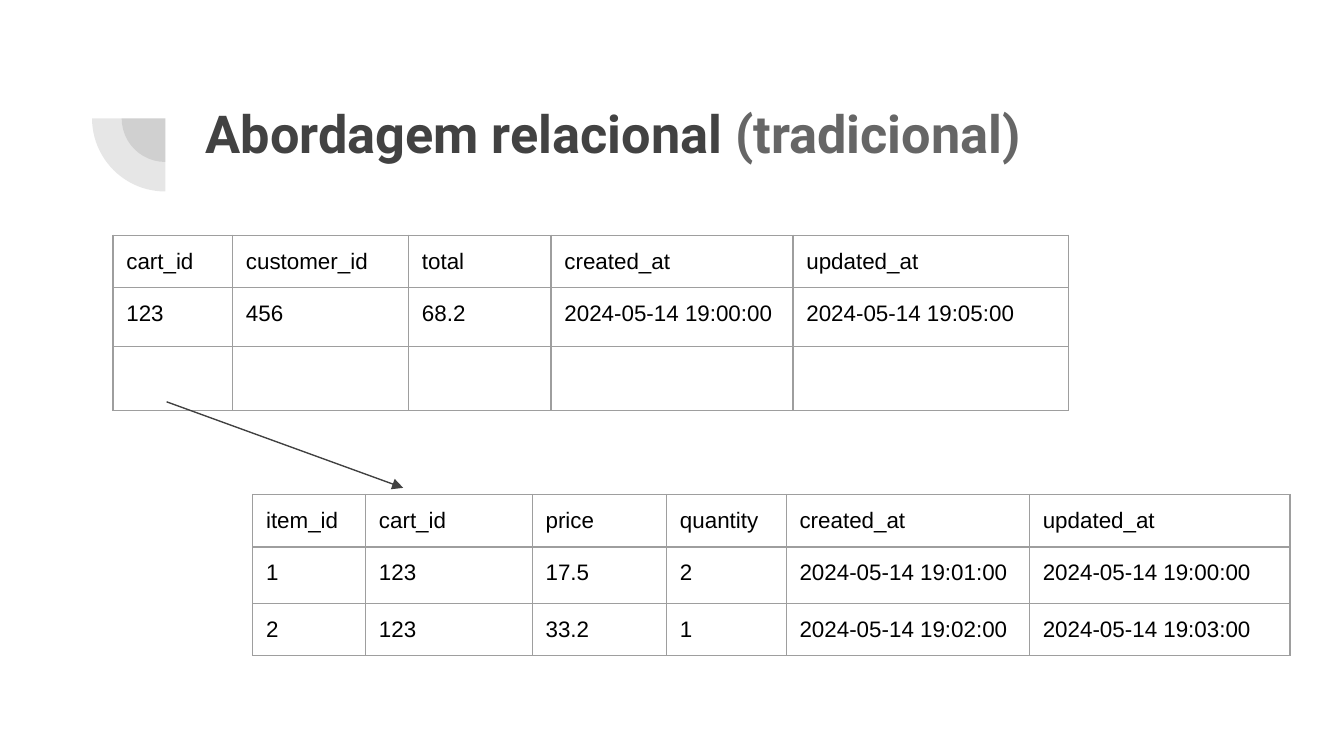
from dataclasses import dataclass

from lxml import etree
from pptx import Presentation
from pptx import util as u
from pptx.dml.color import RGBColor
from pptx.enum import shapes, text
from pptx.oxml import ns

In = u.Inches


@dataclass(frozen=True)
class Theme:
    dark: str = "424242"
    muted: str = "666666"
    border: str = "9E9E9E"
    black: str = "000000"
    title_font: str = "Roboto"
    body_font: str = "Arial"
    title_size: int = 28
    body_size: int = 12
    line_width: float = 0.75
    pie_alpha: int = 13


T = Theme()
INSETS = {f"margin_{side}": In(0.1) for side in ("left", "top", "right", "bottom")}


def apply(obj, values):
    for name, value in values.items():
        setattr(obj, name, value)


def sub(parent, tag, **attrs):
    return etree.SubElement(parent, ns.qn(tag), attrs)


def add_run(p, words, color, **font):
    r = p.add_run()
    r.text = words
    apply(r.font, font)
    r.font.color.rgb = RGBColor.from_string(color)


def add_ornament(s, cx, cy, diameters):
    """Overlapping translucent quarter circles that share one centre."""
    for d in diameters:
        sp = s.shapes.add_shape(shapes.MSO_SHAPE.PIE, In(cx - d / 2), In(cy - d / 2), In(d), In(d))
        sp.adjustments[0], sp.adjustments[1] = 108, 162  # 180 to 270 degrees
        sp.rotation = 270
        sp.shadow.inherit = False
        sp.line.fill.background()
        sp.fill.solid()
        sp.fill.fore_color.rgb = RGBColor.from_string(T.dark)
        color = sp.fill._xPr.find(".//" + ns.qn("a:srgbClr"))
        sub(color, "a:alpha", val=str(T.pie_alpha * 1000))


def add_title(s, x, y, w, h, parts):
    sp = s.shapes.title
    apply(sp, {"left": In(x), "top": In(y), "width": In(w), "height": In(h)})
    tf = sp.text_frame
    apply(tf, {**INSETS, "word_wrap": True, "auto_size": text.MSO_AUTO_SIZE.NONE,
               "vertical_anchor": text.MSO_ANCHOR.TOP})
    p = tf.paragraphs[0]
    p.alignment = text.PP_ALIGN.LEFT
    for words, color in parts:
        add_run(p, words, color, name=T.title_font, size=u.Pt(T.title_size), bold=True)


def format_cell(cell, words):
    apply(cell, INSETS)
    # Borders come before the fill in the cell properties
    props = cell._tc.get_or_add_tcPr()
    for side in ("L", "R", "T", "B"):
        ln = sub(props, f"a:ln{side}", w=str(u.Pt(T.line_width)))
        sub(sub(ln, "a:solidFill"), "a:srgbClr", val=T.border)
    cell.fill.background()
    p = cell.text_frame.paragraphs[0]
    if words:
        add_run(p, words, T.black, name=T.body_font, size=u.Pt(T.body_size))
    else:
        sub(sub(p._p, "a:endParaRPr"), "a:latin", typeface=T.body_font)


def add_data_table(s, x, y, widths, heights, rows):
    frame = s.shapes.add_table(len(heights), len(widths), In(x), In(y),
                               In(sum(widths)), In(sum(heights)))
    table = frame.table
    apply(table, {"first_row": False, "horz_banding": False})
    for column, width in zip(table.columns, widths):
        column.width = In(width)
    for row, height, values in zip(table.rows, heights, rows):
        row.height = In(height)
        for cell, words in zip(row.cells, values):
            format_cell(cell, words)


def add_arrow(s, x1, y1, x2, y2):
    c = s.shapes.add_connector(shapes.MSO_CONNECTOR.STRAIGHT, In(x1), In(y1), In(x2), In(y2))
    c.line.width = u.Pt(T.line_width)
    c.line.color.rgb = RGBColor.from_string(T.dark)
    sub(c.line._get_or_add_ln(), "a:tailEnd", type="triangle", w="med", len="med")
    sub(c._element.spPr, "a:effectLst")


def build_slide(prs):
    s = prs.slides.add_slide(prs.slide_layouts[5])
    add_ornament(s, 1.23, 0.88, (0.65, 1.09))
    add_title(s, 1.43, 0.65, 7.69, 1.09,
              [("Abordagem relacional ", T.dark), ("(tradicional)", T.muted)])

    # Carts
    add_data_table(s, 0.84, 1.75, (0.89, 1.31, 1.06, 1.8, 2.05), (0.38, 0.44, 0.48), [
        ("cart_id", "customer_id", "total", "created_at", "updated_at"),
        ("123", "456", "68.2", "2024-05-14 19:00:00", "2024-05-14 19:05:00"),
        ("",) * 5,
    ])

    # Items that belong to a cart
    add_data_table(s, 1.88, 3.68, (0.84, 1.24, 1, 0.89, 1.81, 1.94), (0.39, 0.42, 0.39), [
        ("item_id", "cart_id", "price", "quantity", "created_at", "updated_at"),
        ("1", "123", "17.5", "2", "2024-05-14 19:01:00", "2024-05-14 19:00:00"),
        ("2", "123", "33.2", "1", "2024-05-14 19:02:00", "2024-05-14 19:03:00"),
    ])

    # Relation between the two tables
    add_arrow(s, 1.24, 2.99, 3, 3.63)


def main():
    prs = Presentation()
    # Widescreen, 16:9
    apply(prs, {"slide_width": In(10), "slide_height": In(10 * 9 / 16)})
    build_slide(prs)
    prs.save("out.pptx")


if __name__ == "__main__":
    main()
